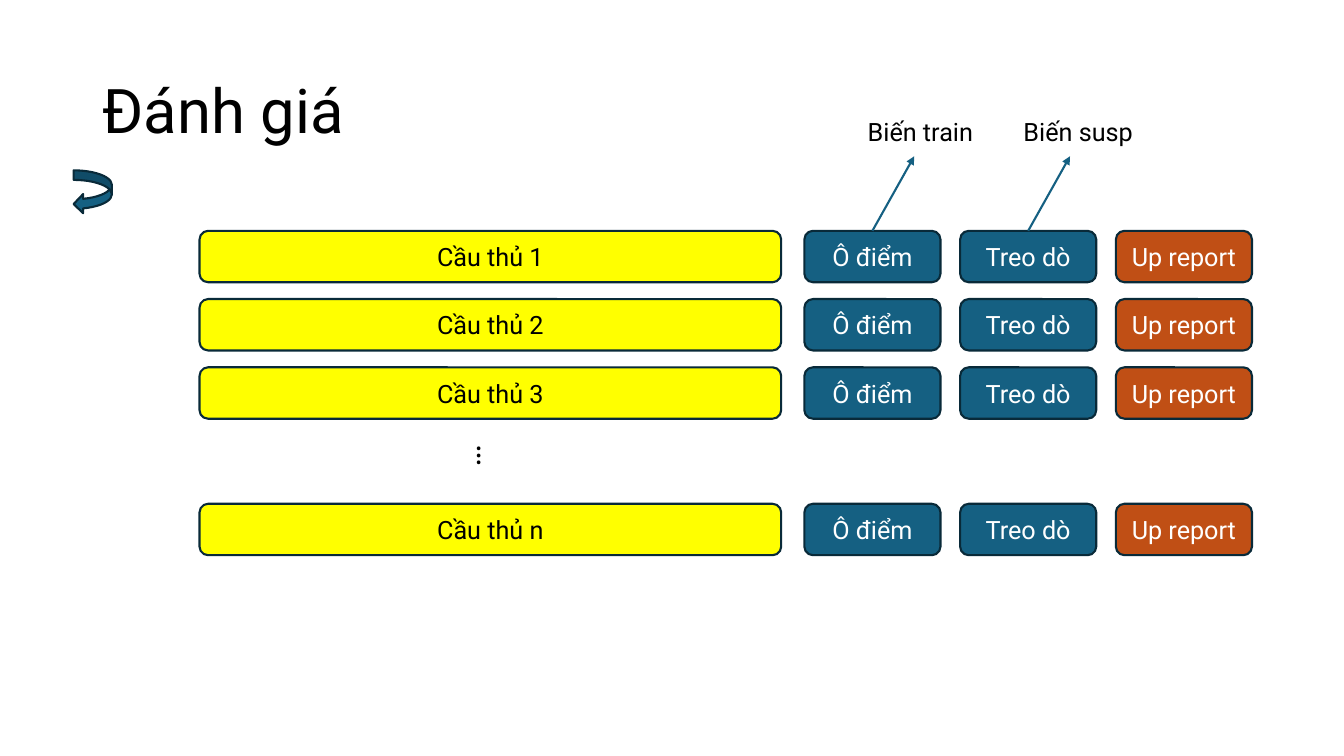
"""Build the player evaluation slide: a row of boxes per player, with two labelled variables."""
from lxml import etree
from pptx import Presentation
from pptx import util as u
from pptx.dml.color import RGBColor
from pptx.enum import shapes, text
from pptx.oxml.ns import qn

COLORS = {"black": "000000", "white": "FFFFFF", "yellow": "FFFF00",
          "blue": "156082", "orange": "C04F15", "outline": "092A39"}
FONT = "Roboto"
PLAYER_LEFT, PLAYER_WIDTH = 1.98, 5.77
ACTION_LEFT, ACTION_WIDTH, ACTION_PITCH = 7.98, 1.35, 1.545
ROW_TOP, ROW_HEIGHT, ROW_PITCH = 2.29, 0.51, 0.677


def write(shape, words, size, color, anchor, align):
    frame = shape.text_frame
    frame.word_wrap = True
    frame.vertical_anchor = anchor
    paragraph = frame.paragraphs[0]
    paragraph.alignment = align
    run = paragraph.add_run()
    run.text = words
    run.font.name = FONT
    run.font.size = u.Pt(size)
    run.font.color.rgb = RGBColor.from_string(COLORS[color])
    return paragraph


def add_outlined(kind, left, top, width, height, fill):
    shape = slide.shapes.add_shape(kind, *map(u.Inches, (left, top, width, height)))
    shape.shadow.inherit = False
    shape.fill.solid()
    shape.fill.fore_color.rgb = RGBColor.from_string(COLORS[fill])
    shape.line.color.rgb = RGBColor.from_string(COLORS["outline"])
    shape.line.width = u.Pt(1.5)
    return shape


presentation = Presentation()
presentation.slide_width = u.Inches(13.333)
presentation.slide_height = u.Inches(7.5)
slide = presentation.slides.add_slide(presentation.slide_layouts[6])
middle, top_anchor = text.MSO_ANCHOR.MIDDLE, text.MSO_ANCHOR.TOP
left_align, center = text.PP_ALIGN.LEFT, text.PP_ALIGN.CENTER

title = slide.shapes.add_textbox(*map(u.Inches, (0.92, 0.4, 11.5, 1.45)))
write(title, "Đánh giá", 44, "black", middle, left_align).line_spacing = 0.9

columns = [(PLAYER_LEFT, PLAYER_WIDTH, "Cầu thủ {}", "yellow", "black")]
for index, (label, fill) in enumerate([("Ô điểm", "blue"), ("Treo dò", "blue"), ("Up report", "orange")]):
    columns.append((ACTION_LEFT + index * ACTION_PITCH, ACTION_WIDTH, label, fill, "white"))

first_row = []
for row, player in [(0, "1"), (1, "2"), (2, "3"), (4, "n")]:
    for left, width, label, fill, color in columns:
        box = add_outlined(shapes.MSO_SHAPE.ROUNDED_RECTANGLE, left,
                           ROW_TOP + row * ROW_PITCH, width, ROW_HEIGHT, fill)
        write(box, label.format(player), 18, color, middle, center)
        if row == 0:
            first_row.append(box)

ellipsis = slide.shapes.add_textbox(*map(u.Inches, (4.61, 4.32, 0.51, 0.5)))
ellipsis.rotation = 90
write(ellipsis, "…", 24, "black", top_anchor, left_align)

for index, variable in enumerate(["Biến train", "Biến susp"]):
    left = ACTION_LEFT + index * ACTION_PITCH
    label = slide.shapes.add_textbox(*map(u.Inches, (left + 0.53, 1.1, 1.39, 0.4)))
    write(label, variable, 18, "black", top_anchor, left_align)
    arrow = slide.shapes.add_connector(
        shapes.MSO_CONNECTOR.STRAIGHT,
        *map(u.Inches, (left + ACTION_WIDTH / 2, ROW_TOP, left + 1.09, 1.55)))
    arrow.begin_connect(first_row[index + 1], 0)
    arrow.line.color.rgb = RGBColor.from_string(COLORS["blue"])
    arrow.line.width = u.Pt(1.5)
    etree.SubElement(arrow.line._get_or_add_ln(), qn("a:tailEnd"), type="triangle")
    etree.SubElement(arrow._element.spPr, qn("a:effectLst"))

add_outlined(shapes.MSO_SHAPE.CURVED_LEFT_ARROW, 0.73, 1.69, 0.38, 0.43, "blue")

presentation.save("out.pptx")
